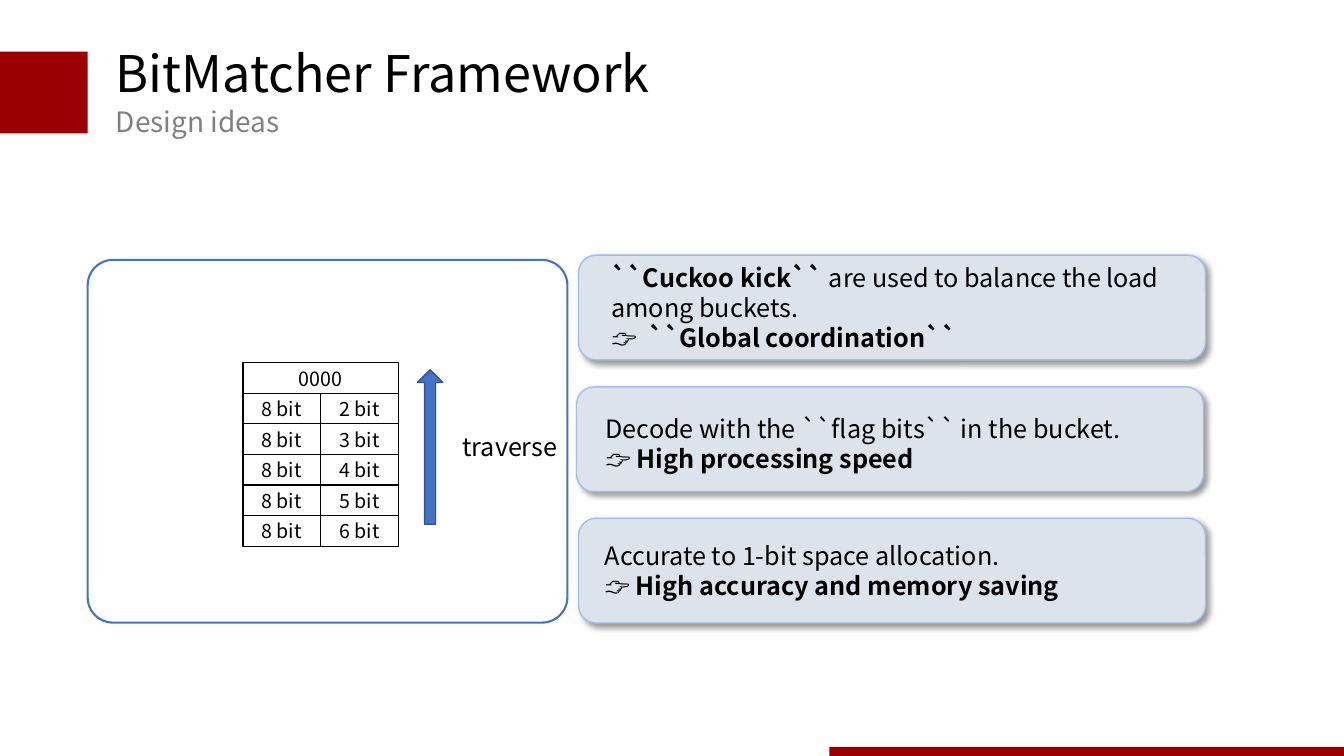
from pptx import Presentation
from pptx.dml.color import RGBColor
from pptx.enum.shapes import MSO_SHAPE as Shape
from pptx.enum.text import MSO_ANCHOR as Anchor, MSO_AUTO_SIZE as AutoSize, PP_ALIGN as Align
from pptx.oxml import parse_xml
from pptx.oxml.ns import nsdecls
from pptx.util import Cm, Pt

FONT = "Noto Sans CJK SC"
BLACK = RGBColor(0x00, 0x00, 0x00)
WHITE = RGBColor(0xFF, 0xFF, 0xFF)
GREY = RGBColor(0x80, 0x80, 0x80)
RED = RGBColor(0x9A, 0x00, 0x01)
BLUE = RGBColor(0x44, 0x72, 0xC4)
DARK_BLUE = RGBColor(0x32, 0x54, 0x91)
CARD_FILL = RGBColor(0xDD, 0xE3, 0xEB)
CARD_LINE = RGBColor(0xA1, 0xBE, 0xE9)

CARD_SHADOW = (
    f'<a:effectLst {nsdecls("a")}>'
    '<a:outerShdw blurRad="50800" dist="38100" dir="2700000" algn="tl" rotWithShape="0">'
    '<a:srgbClr val="000000"><a:alpha val="40000"/></a:srgbClr>'
    '</a:outerShdw></a:effectLst>'
)


def add_block(page, kind, place, fill=None, line=None, width=1):
    """Add a preset shape; place is left, top, width, height in cm."""
    block = page.shapes.add_shape(kind, *map(Cm, place))
    block.shadow.inherit = False
    if fill is None:
        block.fill.background()
    else:
        block.fill.solid()
        block.fill.fore_color.rgb = fill
    if line is None:
        block.line.fill.background()
    else:
        block.line.color.rgb = line
        block.line.width = Pt(width)
    return block


def style_font(font, size, color=BLACK, bold=False):
    font.name = FONT
    font.size = Pt(size)
    font.color.rgb = color
    font.bold = bold


def add_text(page, place, lines, size=18, color=BLACK, wrap=True):
    """Add a text box; each line is a list of (text, bold) spans."""
    box = page.shapes.add_textbox(*map(Cm, place))
    frame = box.text_frame
    frame.word_wrap = wrap
    frame.auto_size = AutoSize.SHAPE_TO_FIT_TEXT
    for index, spans in enumerate(lines):
        para = frame.add_paragraph() if index else frame.paragraphs[0]
        for text, bold in spans:
            span = para.add_run()
            span.text = text
            style_font(span.font, size, color, bold)


def add_card(page, left, top, text_place, lines):
    card = add_block(page, Shape.ROUNDED_RECTANGLE, (left, top, 15.8, 2.64),
                     CARD_FILL, CARD_LINE)
    properties = card._element.spPr
    properties.remove(properties.find("{*}effectLst"))
    properties.append(parse_xml(CARD_SHADOW))
    add_text(page, text_place, lines)


def add_cell(page, place, text):
    cell = add_block(page, Shape.RECTANGLE, place, WHITE, BLACK)
    frame = cell.text_frame
    frame.text = text
    frame.vertical_anchor = Anchor.MIDDLE
    para = frame.paragraphs[0]
    para.alignment = Align.CENTER
    style_font(para.runs[0].font, 14)


def add_bucket(page, left, top, flag, bits):
    """Flag row on top, then one row of two cells per counter size."""
    width, height, pitch = 1.96, 0.78, 0.77
    add_cell(page, (left, top, 2 * width, height), flag)
    for row, count in enumerate(bits, start=1):
        for column, text in enumerate(("8 bit", f"{count} bit")):
            add_cell(page, (left + column * width, top + row * pitch, width, height), text)


def main():
    deck = Presentation()
    deck.slide_width, deck.slide_height = Cm(33.87), Cm(19.05)
    page = deck.slides.add_slide(deck.slide_layouts[6])

    # Header and footer
    add_block(page, Shape.RECTANGLE, (0, 1.3, 2.21, 2.06), RED)
    add_block(page, Shape.RECTANGLE, (20.9, 18.82, 12.97, 0.23), RED)
    add_text(page, (2.67, 0.94, 14.4, 1.8), [[("BitMatcher Framework", False)]],
             size=36, wrap=False)
    add_text(page, (2.67, 2.51, 14.17, 1.12), [[("Design ideas", False)]],
             size=20, color=GREY)

    # Bucket diagram
    panel = add_block(page, Shape.ROUNDED_RECTANGLE, (2.21, 6.55, 12.09, 9.14),
                      line=BLUE, width=1.5)
    panel.adjustments[0] = 0.07
    add_bucket(page, 6.12, 9.14, "0000", range(2, 7))
    arrow = add_block(page, Shape.UP_ARROW, (10.52, 9.32, 0.64, 3.89), BLUE, DARK_BLUE)
    arrow.adjustments[0] = 0.43
    arrow.adjustments[1] = 0.5
    add_text(page, (11.4, 10.74, 3.23, 1.02), [[("traverse", False)]])

    # Design idea cards
    add_card(page, 14.58, 6.43, (15.16, 6.48, 15.8, 2.64), [
        [("``Cuckoo kick`` ", True),
         ("are used to balance the load among buckets.", False)],
        [("👉  ", False), ("``Global coordination``", True)],
    ])
    add_card(page, 14.53, 9.75, (15.01, 10.29, 16.97, 1.8), [
        [("Decode with the ``flag bits`` in the bucket.", False)],
        [("👉 ", False), ("High processing speed", True)],
    ])
    add_card(page, 14.58, 13.06, (14.99, 13.49, 17.25, 1.8), [
        [("Accurate to 1-bit space allocation.", False)],
        [("👉 ", False), ("High accuracy and memory saving", True)],
    ])

    deck.save("out.pptx")


if __name__ == "__main__":
    main()
